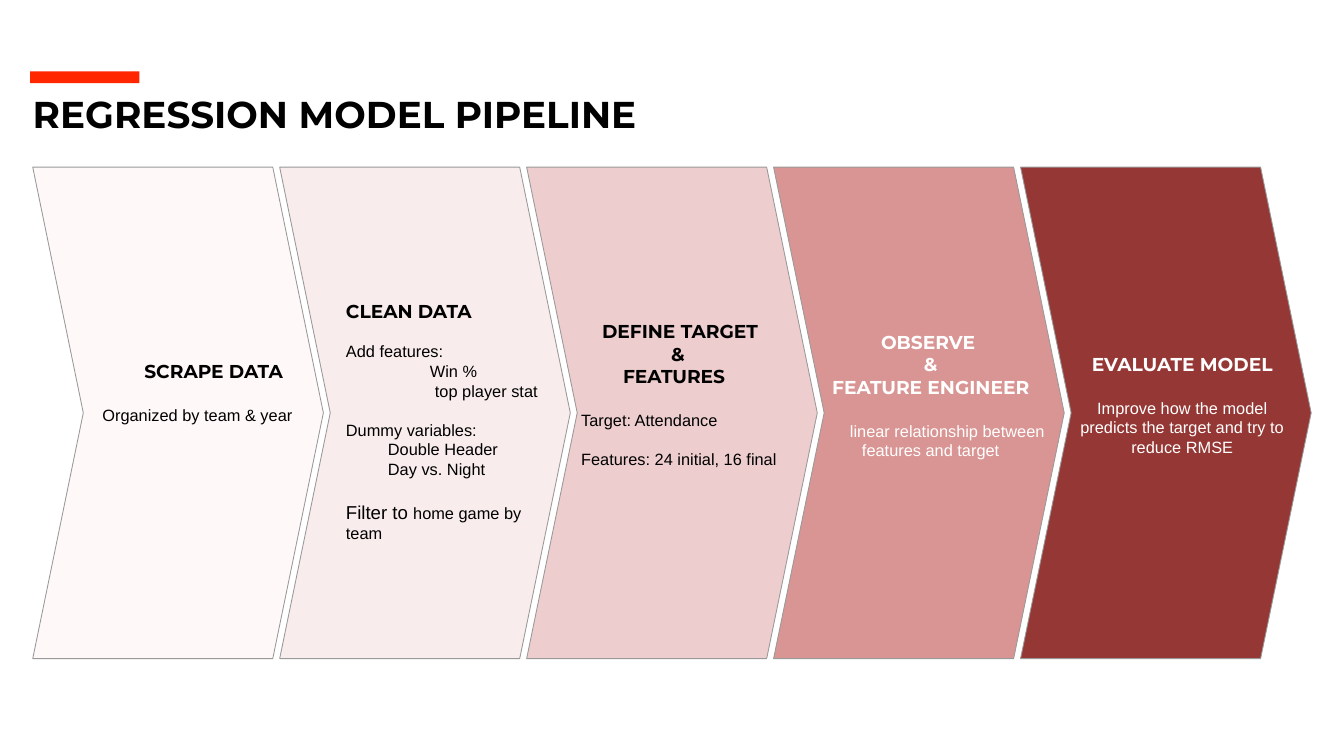
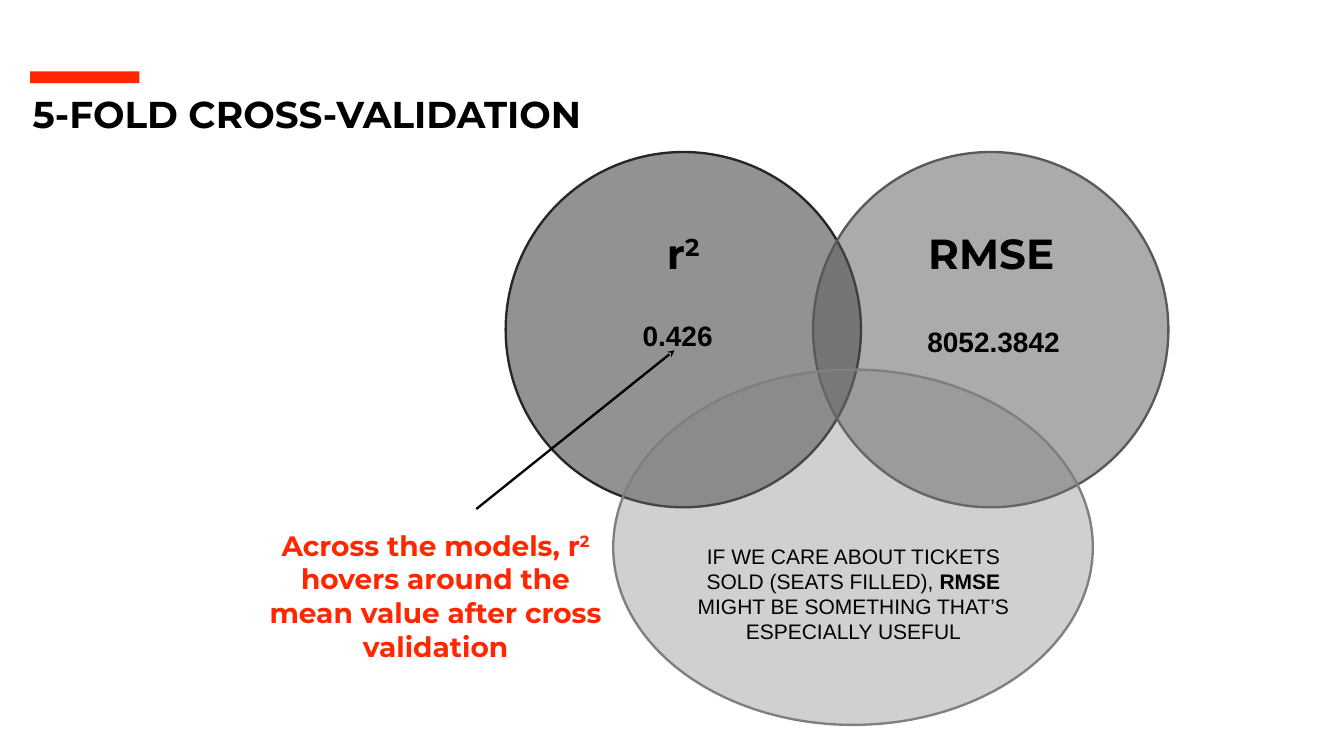
from lxml.etree import SubElement
from pptx import Presentation
from pptx.dml.color import RGBColor
from pptx.enum.shapes import MSO_CONNECTOR as Connector, MSO_SHAPE as Shape
from pptx.enum.text import PP_ALIGN as Align
from pptx.oxml.ns import qn
from pptx.util import Inches, Pt

COLORS = {
    "black": "000000", "white": "FFFFFF", "accent": "FF2600", "outline": "999999",
    "blush": "FFE7E7", "shell": "F2DADA", "rose": "E5B8B7", "coral": "D99593",
    "brick": "953734", "charcoal": "262626", "graphite": "595959", "gray": "7F7F7F",
}
HEADING_FONT, BODY_FONT = "Montserrat", "Arial"


def line(*runs, size=14, font=BODY_FONT, bold=False, indent=0, before=0, center=False):
    """One paragraph; a run is a string or a (string, overrides) pair."""
    pairs = [(run, {}) if isinstance(run, str) else run for run in runs]
    return {"runs": pairs, "style": {"size": size, "font": font, "bold": bold},
            "indent": indent, "before": before, "center": center}


def heading(*runs, size=16, **options):
    return line(*runs, size=size, font=HEADING_FONT, bold=True, **options)


class Deck:
    def __init__(self):
        self.prs = Presentation()
        self.prs.slide_width, self.prs.slide_height = Inches(16), Inches(9)
        self.slide = None

    def color(self, name):
        return RGBColor.from_string(COLORS[name])

    def new_slide(self, title):
        self.slide = self.prs.slides.add_slide(self.prs.slide_layouts[6])
        self.shape(Shape.RECTANGLE, (0.36, 0.85, 1.3, 0.14), "accent")
        self.text((0.36, 1, 13.62, 0.59), [heading(title, size=32)], inset=0.03, spacing=1.1)

    def shape(self, kind, box, fill, opacity=100, outline=None, width=0.75, adjust=None):
        shape = self.slide.shapes.add_shape(kind, *map(Inches, box))
        shape.shadow.inherit = False
        if adjust is not None:
            shape.adjustments[0] = adjust
        shape.fill.solid()
        shape.fill.fore_color.rgb = self.color(fill)
        if opacity < 100:
            rgb = shape.fill._xPr.find(".//" + qn("a:srgbClr"))
            SubElement(rgb, qn("a:alpha")).set("val", str(opacity * 1000))
        if outline:
            shape.line.color.rgb = self.color(outline)
            shape.line.width = Pt(width)
        else:
            shape.line.fill.background()

    def text(self, box, lines, color="black", inset=0.05, spacing=None):
        frame = self.slide.shapes.add_textbox(*map(Inches, box)).text_frame
        frame.word_wrap = True
        frame.margin_left = frame.margin_right = Inches(inset)
        frame.margin_top = frame.margin_bottom = Inches(inset)
        for number, content in enumerate(lines):
            paragraph = frame.add_paragraph() if number else frame.paragraphs[0]
            paragraph.alignment = Align.CENTER if content["center"] else Align.LEFT
            if content["indent"]:
                paragraph._p.get_or_add_pPr().set("marL", str(Inches(content["indent"])))
            if content["before"]:
                paragraph.space_before = Pt(content["before"])
            if spacing:
                paragraph.line_spacing = spacing
            paragraph.text = content["runs"][0][0]
            for words, _ in content["runs"][1:]:
                paragraph.add_run().text = words
            for run, (_, changes) in zip(paragraph.runs, content["runs"]):
                style = {**content["style"], **changes}
                run.font.size = Pt(style["size"])
                run.font.name = style["font"]
                run.font.bold = style["bold"]
                run.font.color.rgb = self.color(color)
                if style.get("superscript"):
                    run._r.get_or_add_rPr().set("baseline", "30000")

    def arrow(self, start, end, color="black", width=2):
        arrow = self.slide.shapes.add_connector(
            Connector.STRAIGHT, *map(Inches, start + end))
        arrow.line.color.rgb = self.color(color)
        arrow.line.width = Pt(width)
        SubElement(arrow.line._get_or_add_ln(), qn("a:tailEnd")).set("type", "stealth")
        SubElement(arrow._element.spPr, qn("a:effectLst"))


def pipeline_slide(deck):
    deck.new_slide("REGRESSION MODEL PIPELINE")

    # Chevron band
    stages = [("blush", 29), ("shell", 49), ("rose", 69), ("coral", 100), ("brick", 100)]
    for index, (fill, opacity) in enumerate(stages):
        deck.shape(Shape.CHEVRON, (0.39 + 2.94 * index, 1.99, 3.46, 5.85), fill,
                   opacity, outline="outline", adjust=0.174)

    # Stage descriptions
    after_heading, gap = 19.5, 16.6
    descriptions = [
        ((0.62, 4.19, 3.12, 1.1), "black", [
            heading("SCRAPE DATA", indent=1),
            line("Organized by team & year", indent=0.5, before=after_heading)]),
        ((4.02, 3.47, 2.63, 3.1), "black", [
            heading("CLEAN DATA"),
            line("Add features:", before=gap),
            line("Win %", indent=1),
            line("top player stat", indent=1.06),
            line("Dummy variables:", before=gap),
            line("Double Header", indent=0.5),
            line("Day vs. Night", indent=0.5),
            line(("Filter to ", {"size": 16}), "home game by team", before=19)]),
        ((6.82, 3.71, 3.24, 2.1), "black", [
            heading("DEFINE TARGET", indent=0.25),
            heading("&", indent=1.07),
            heading("FEATURES", indent=0.5),
            line("Target: Attendance", before=after_heading),
            line("Features: 24 initial, 16 final", before=gap)]),
        ((9.52, 3.84, 3.12, 1.8), "white", [
            heading("OBSERVE ", center=True),
            heading("&", center=True),
            heading("FEATURE ENGINEER", center=True),
            line("linear relationship between", indent=0.5, before=after_heading),
            line("features and target", center=True)]),
        ((12.76, 4.1, 2.63, 1.4), "white", [
            heading("EVALUATE MODEL", center=True),
            line("Improve how the model predicts the target and try to reduce RMSE",
                 before=after_heading, center=True)]),
    ]
    for box, color, lines in descriptions:
        deck.text(box, lines, color, inset=0.1)


def validation_slide(deck):
    deck.new_slide("5-FOLD CROSS-VALIDATION")
    squared = ("2", {"superscript": True})

    # Callout
    deck.text((3.07, 6.24, 4.23, 1.75), [
        heading("Across the models, r", squared,
                " hovers around the mean value after cross validation",
                size=24, center=True)], "accent")

    # Overlapping metrics
    for box, shade, opacity in [((6.02, 1.81, 4.23, 4.23), "charcoal", 50),
                                ((9.68, 1.81, 4.23, 4.23), "graphite", 50),
                                ((7.3, 4.4, 5.71, 4.23), "gray", 36)]:
        deck.shape(Shape.OVAL, box, shade, opacity, outline=shade, width=2)

    deck.text((6.89, 2.66, 2.79, 0.7), [heading("r", squared, size=36, indent=1)])
    deck.text((10.59, 2.66, 2.42, 0.7), [heading("RMSE", size=36, center=True)])
    deck.text((6.64, 3.74, 2.99, 0.5), [line("0.426", size=24, bold=True, indent=0.96)])
    deck.text((10.3, 3.81, 2.99, 0.5), [line("8052.3842", size=24, bold=True, indent=0.69)])
    deck.text((8.14, 6.42, 4.04, 1.3), [
        line("IF WE CARE ABOUT TICKETS SOLD (SEATS FILLED), ", ("RMSE", {"bold": True}),
             " MIGHT BE SOMETHING THAT’S ESPECIALLY USEFUL", size=18, center=True)])

    # Pointer from the callout to the score
    deck.arrow((5.67, 6.06), (8.03, 4.17))


def main():
    deck = Deck()
    pipeline_slide(deck)
    validation_slide(deck)
    deck.prs.save("out.pptx")


if __name__ == "__main__":
    main()
